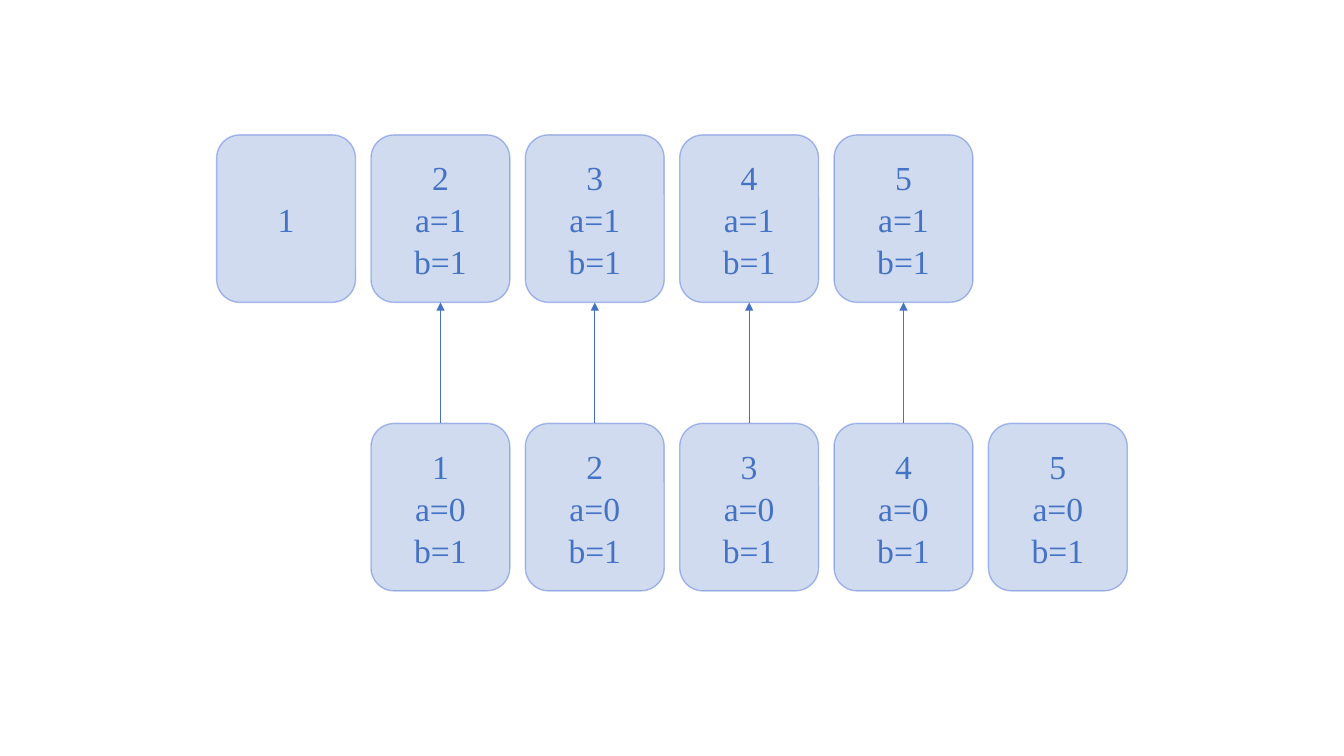
from pptx import Presentation
from pptx.dml.color import RGBColor
from pptx.enum.shapes import MSO_CONNECTOR as CONN, MSO_SHAPE as SHAPE
from pptx.enum.text import MSO_ANCHOR as ANCHOR, PP_ALIGN as ALIGN
from pptx.oxml.ns import qn
from pptx.util import Cm, Pt
from lxml.etree import SubElement

BLUE = RGBColor(0x44, 0x72, 0xC4)
OUTLINE = RGBColor(0x00, 0x33, 0xCC)
FONT = "Times New Roman"
LEFT, PITCH = 5.46, 3.89
CARD_W, CARD_H = 3.5, 4.22
UPPER_TOP, LOWER_TOP = 3.4, 10.67
TOP_SITE, BOTTOM_SITE = 0, 2


def add_text(tf, lines, size=24, color=BLUE, font=FONT, align=ALIGN.CENTER, spacing=1.04):
    """Write the lines as paragraphs of one format."""
    for i, line in enumerate(lines):
        p = tf.add_paragraph() if i else tf.paragraphs[0]
        p.alignment = align
        p.line_spacing = spacing
        r = p.add_run()
        r.text = line
        r.font.size = Pt(size)
        r.font.name = font
        r.font.color.rgb = color


def set_opacity(sp, *percents):
    """Set the opacity of the colours of a shape, fill first and line second."""
    for clr, percent in zip(sp.element.spPr.iter(qn("a:srgbClr")), percents):
        SubElement(clr, qn("a:alpha")).set("val", str(percent * 1000))


def add_card(slide, column, top, lines):
    """Add a translucent rounded card in a column."""
    sp = slide.shapes.add_shape(SHAPE.ROUNDED_RECTANGLE, Cm(LEFT + column * PITCH),
                                Cm(top), Cm(CARD_W), Cm(CARD_H))
    sp.shadow.inherit = False
    sp.fill.solid()
    sp.fill.fore_color.rgb = BLUE
    sp.line.color.rgb = OUTLINE
    sp.line.width = Pt(1)
    set_opacity(sp, 25, 30)
    tf = sp.text_frame
    tf.word_wrap = True
    tf.vertical_anchor = ANCHOR.MIDDLE
    add_text(tf, lines)
    return sp


def add_arrow(slide, lower, upper):
    """Connect a lower card to the upper card with an arrow."""
    cxn = slide.shapes.add_connector(CONN.STRAIGHT, 0, 0, 0, 0)
    cxn.begin_connect(lower, TOP_SITE)
    cxn.end_connect(upper, BOTTOM_SITE)
    cxn.line.color.rgb = BLUE
    cxn.line.width = Pt(0.5)
    sp_pr = cxn.element.spPr
    SubElement(sp_pr.find(qn("a:ln")), qn("a:tailEnd")).set("type", "triangle")
    SubElement(sp_pr, qn("a:effectLst"))


def main():
    """Build the slide with two shifted rows of cards."""
    prs = Presentation()
    prs.slide_width, prs.slide_height = Cm(33.87), Cm(19.05)
    slide = prs.slides.add_slide(prs.slide_layouts[6])
    lower = [add_card(slide, n, LOWER_TOP, [str(n), "a=0", "b=1"]) for n in range(1, 6)]
    upper = [add_card(slide, n - 1, UPPER_TOP, [str(n)] + (["a=1", "b=1"] if n > 1 else []))
             for n in range(1, 6)]
    for source, target in zip(lower, upper[1:]):
        add_arrow(slide, source, target)
    prs.save("out.pptx")


if __name__ == "__main__":
    main()
